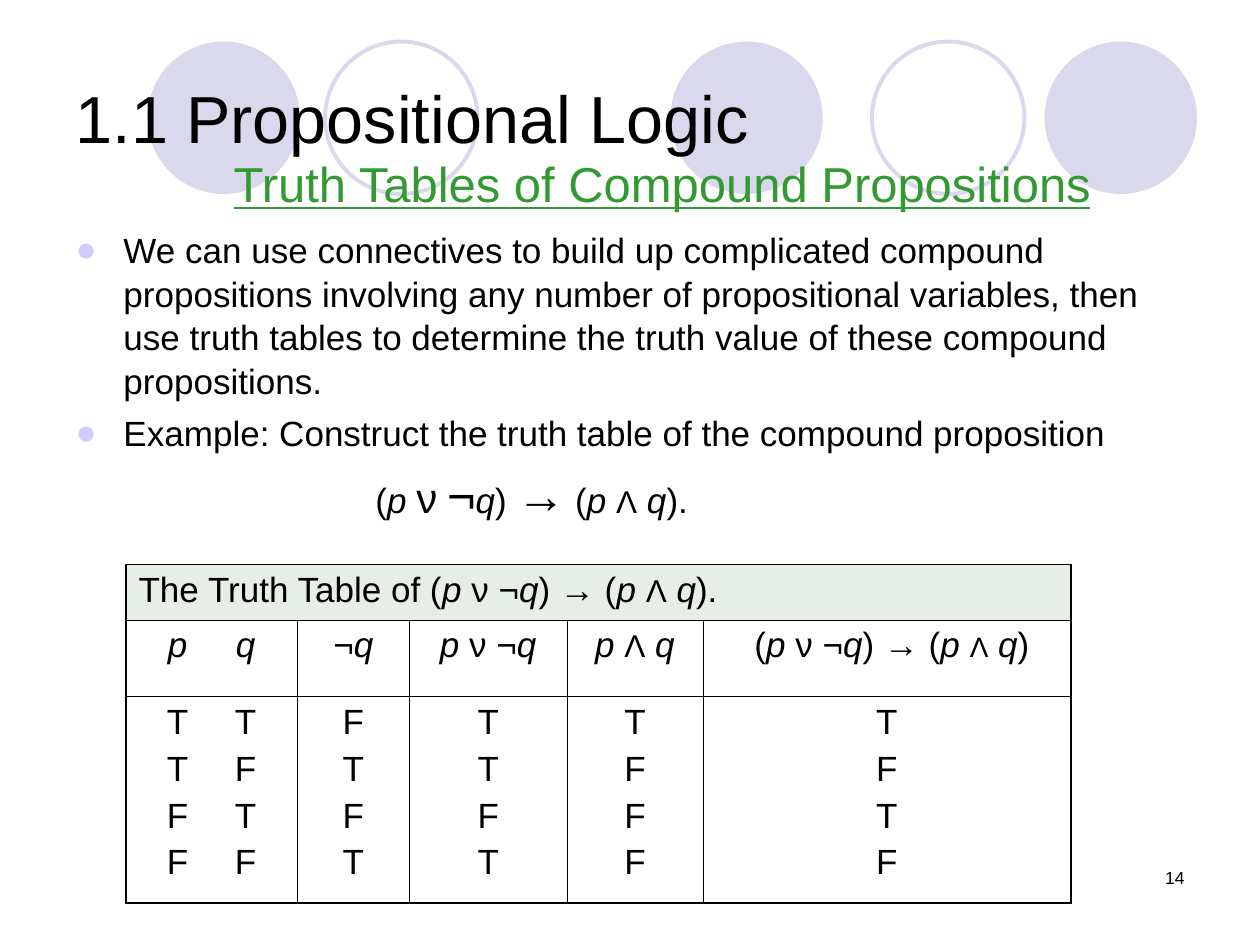
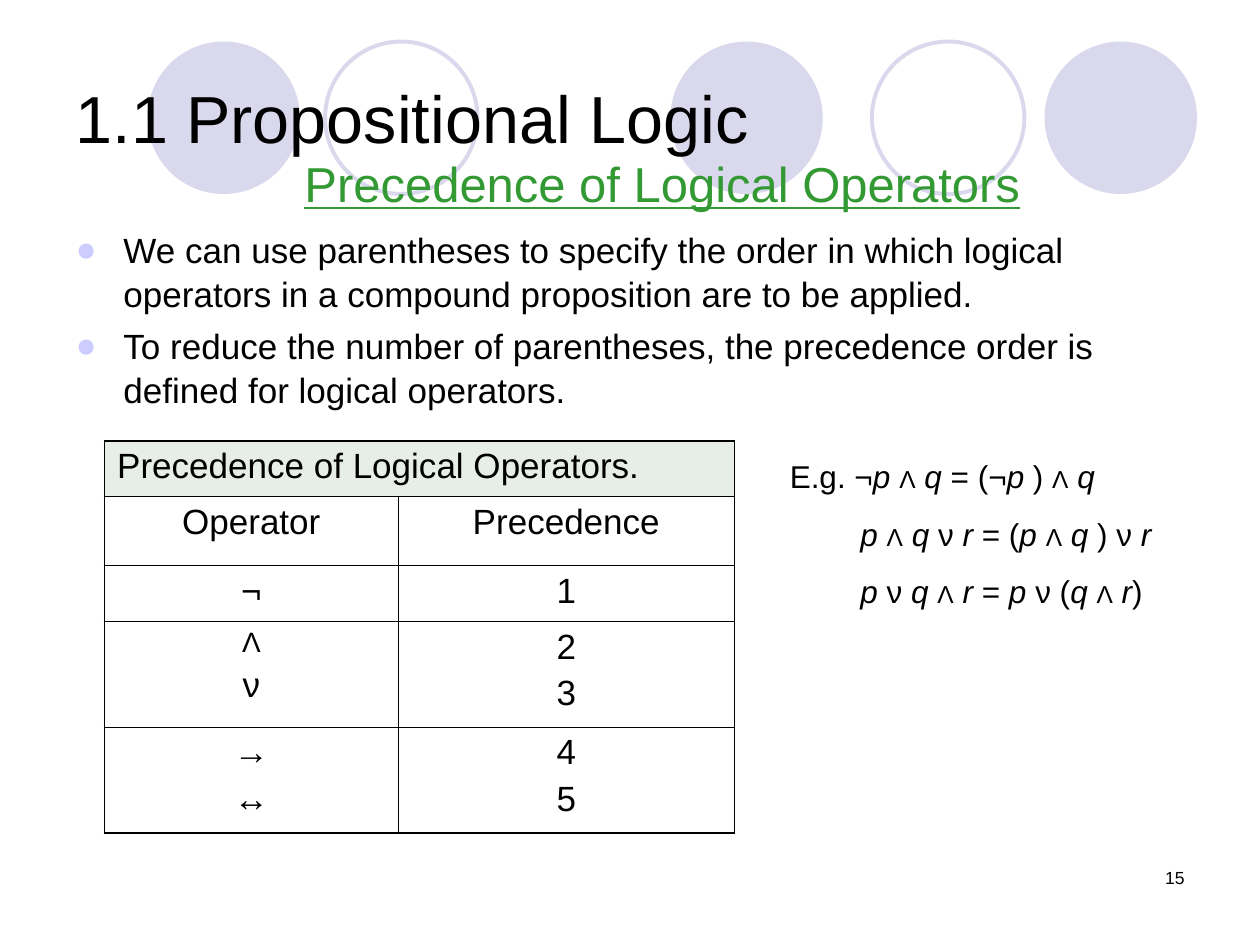
"""Build two lecture slides on truth tables and operator precedence."""
from itertools import groupby

from lxml import etree
from pptx import Presentation
from pptx.dml.color import RGBColor
from pptx.enum.shapes import MSO_SHAPE
from pptx.enum.text import MSO_ANCHOR, MSO_AUTO_SIZE, PP_ALIGN
from pptx.oxml.ns import qn
from pptx.util import Inches, Pt

OVAL = MSO_SHAPE.OVAL
LEFT, CENTER, RIGHT = PP_ALIGN.LEFT, PP_ALIGN.CENTER, PP_ALIGN.RIGHT
TOP, MIDDLE = MSO_ANCHOR.TOP, MSO_ANCHOR.MIDDLE
NO_FIT, GROW = MSO_AUTO_SIZE.NONE, MSO_AUTO_SIZE.SHAPE_TO_FIT_TEXT

COLORS = {"text": "000000", "accent": "339933", "circle": "D9D8EC",
          "bullet": "CCCCFF", "band": "E7EDE7"}
FONT = "Arial"
TITLE = "1.1 Propositional Logic"
CIRCLES = [(5.32, True), (8.29, True), (1.17, True), (6.92, False), (2.58, False)]
PAIR_TABS = (0.31, 0.85)
OUTER, INNER = 1.08, 0.45


def color(name):
    """Return a palette colour."""
    return RGBColor.from_string(COLORS[name])


def sub(parent, tag, **attrs):
    """Append a drawing element to its parent."""
    e = etree.SubElement(parent, qn(tag))
    for key, value in attrs.items():
        e.set(key, str(value))
    return e


def place(sp, left, top, width, height):
    """Move and size a shape."""
    sp.left, sp.top = Inches(left), Inches(top)
    sp.width, sp.height = Inches(width), Inches(height)


class Deck:
    """Hold the style and the current slide."""

    def __init__(self):
        """Open a 10 by 7.5 inch presentation."""
        self.prs = Presentation()
        self.prs.slide_width, self.prs.slide_height = Inches(10), Inches(7.5)
        self.s = None

    def circles(self):
        """Put the row of circles on the slide master."""
        for i, (left, filled) in enumerate(CIRCLES):
            sp = self.s.shapes.add_shape(OVAL, Inches(left), Inches(0.33),
                                         Inches(1.21), Inches(1.21))
            sp.shadow.inherit = False
            if filled:
                sp.fill.solid()
                sp.fill.fore_color.rgb = color("circle")
                sp.line.fill.background()
            else:
                sp.fill.background()
                sp.line.color.rgb = color("circle")
                sp.line.width = Pt(2.25)
            sp.element.nvSpPr.cNvPr.id = 20 + i
            self.prs.slide_master.shapes.element.insert(2 + i, sp.element)

    def slide(self, subtitle, number):
        """Start a slide with its title, subtitle and number."""
        first = self.s is None
        self.s = self.prs.slides.add_slide(self.prs.slide_layouts[1])
        if first:
            self.circles()
        sp = self.s.shapes.title
        place(sp, 0.5, 0.3, 9, 1.25)
        tf = sp.text_frame
        tf.vertical_anchor, tf.auto_size = MIDDLE, NO_FIT
        self.rich_text(tf.paragraphs[0], TITLE, 38)
        p = self.textbox((1.67, 1.17, 7.17, 0.57), [subtitle], 28, align=CENTER)[0]
        for r in p.runs:
            r.font.underline = True
            r.font.color.rgb = color("accent")
        self.textbox((7.17, 6.83, 2.33, 0.5), [str(number)], 10, align=RIGHT)

    def rich_text(self, p, text, size, sizes=None, align=LEFT):
        """Fill a paragraph; stars enclose italics, sizes maps symbols to points."""
        p.alignment = align
        for i, part in enumerate(text.split("*")):
            for points, chars in groupby(part, lambda c: (sizes or {}).get(c, size)):
                r = p.add_run()
                r.text = "".join(chars)
                r.font.name, r.font.size = FONT, Pt(points)
                r.font.italic = i % 2 == 1
                r.font.color.rgb = color("text")

    def lines(self, tf, texts, size, sizes=None, align=LEFT, gap=0):
        """Add one paragraph for each text."""
        for i, text in enumerate(texts):
            p = tf.add_paragraph() if i else tf.paragraphs[0]
            if i:
                p.space_before = Pt(gap)
            self.rich_text(p, text, size, sizes, align)
        return tf.paragraphs

    def textbox(self, box, texts, size, **style):
        """Add a wrapped text box and return its paragraphs."""
        tf = self.s.shapes.add_textbox(*map(Inches, box)).text_frame
        tf.word_wrap, tf.auto_size = True, GROW
        return self.lines(tf, texts, size, **style)

    def body(self, bullets, formula=None, sizes=None):
        """Fill the body placeholder with bullets and an indented formula."""
        sp = self.s.placeholders[1]
        place(sp, 0.5, 1.75, 8.92, 2.75)
        tf = sp.text_frame
        tf.vertical_anchor, tf.auto_size = TOP, NO_FIT
        texts = bullets + ([formula] if formula else [])
        for i, p in enumerate(self.lines(tf, texts, 20, sizes, gap=5)):
            p.line_spacing = 1.04
            if i == 0:
                p.space_before = Pt(0)
            if i < len(bullets):
                self.indent(p, 0.38, -0.38)
                pPr = p._p.get_or_add_pPr()
                sub(sub(pPr, "a:buClr"), "a:srgbClr", val=COLORS["bullet"])
                sub(pPr, "a:buFont", typeface=FONT)
                sub(pPr, "a:buChar", char="●")
            else:
                self.indent(p, 2.38)
                sub(p._p.get_or_add_pPr(), "a:buNone")

    def indent(self, p, left, first=0):
        """Set the left margin and first-line indent."""
        pPr = p._p.get_or_add_pPr()
        pPr.set("marL", str(Inches(left)))
        pPr.set("indent", str(Inches(first)))

    def borders(self, cell, outer_sides):
        """Draw the four borders, heavier on the outer sides."""
        tcPr = cell._tc.get_or_add_tcPr()
        for side, outer in zip("LRTB", outer_sides):
            ln = sub(tcPr, f"a:ln{side}", w=Pt(OUTER if outer else INNER))
            sub(sub(ln, "a:solidFill"), "a:srgbClr", val=COLORS["text"])

    def table(self, left, top, widths, heights, caption, rows, sizes):
        """Add a table with a merged caption row; newlines part paragraphs."""
        n_rows, n_cols = len(heights), len(widths)
        tbl = self.s.shapes.add_table(n_rows, n_cols, Inches(left), Inches(top),
                                      Inches(sum(widths)), Inches(sum(heights))).table
        tbl.first_row = tbl.horz_banding = False
        for col, width in zip(tbl.columns, widths):
            col.width = Inches(width)
        for row, height in zip(tbl.rows, heights):
            row.height = Inches(height)
        tbl.cell(0, 0).merge(tbl.cell(0, n_cols - 1))
        for i, texts in enumerate([[caption]] + rows):
            for j, text in enumerate(texts):
                cell = tbl.cell(i, j)
                last = j + max(cell.span_width, 1) == n_cols
                self.borders(cell, (j == 0, last, i == 0, i == n_rows - 1))
                if i:
                    cell.fill.background()
                else:
                    cell.fill.solid()
                    cell.fill.fore_color.rgb = color("band")
                align = LEFT if i == 0 or "\t" in text else CENTER
                for p in self.lines(cell.text_frame, text.split("\n"), 20,
                                    sizes, align, 4.4):
                    if "\t" in text:
                        tabs = sub(p._p.get_or_add_pPr(), "a:tabLst")
                        for pos in PAIR_TABS:
                            sub(tabs, "a:tab", pos=Inches(pos), algn="ctr")
        return tbl


def truth_tables(deck):
    """Build the truth table slide."""
    deck.slide("Truth Tables of Compound Propositions", 14)
    formula = "(*p *ν ¬*q*) → (*p *Λ* q*)"
    deck.body(
        ["We can use connectives to build up complicated compound propositions "
         "involving any number of propositional variables, then use truth tables "
         "to determine the truth value of these compound propositions.",
         "Example: Construct the truth table of the compound proposition"],
        formula + ".", {"ν": 24, "¬": 28, "→": 28, "Λ": 18})
    header = ["*\tp\tq*", "¬*q*", "*p *ν ¬*q*", "*p *Λ* q*", " " + formula]
    pairs = "\n".join(f"\t{p}\t{q}" for p in "TF" for q in "TF")
    values = [pairs] + ["\n".join(v) for v in ("FTFT", "TTFT", "TFFF", "TFTF")]
    tbl = deck.table(1, 4.48, [1.36, 0.89, 1.25, 1.08, 2.92], [0.44, 0.61, 1.64],
                     f"The Truth Table of {formula}.", [header, values], {"Λ": 18})
    for r in tbl.cell(1, 4).text_frame.paragraphs[0].runs:
        if r.text == "Λ":
            r.font.size = Pt(16)


def precedence(deck):
    """Build the operator precedence slide."""
    deck.slide("Precedence of Logical Operators", 15)
    deck.body(
        ["We can use parentheses to specify the order in which logical operators "
         "in a compound proposition are to be applied.",
         "To reduce the number of parentheses, the precedence order is defined "
         "for logical operators."])
    deck.table(0.83, 3.5, [2.33, 2.67], [0.44, 0.55, 0.44, 0.84, 0.84],
               "Precedence of Logical Operators.",
               [["Operator", "Precedence"], ["¬", "1"], ["Λ\nν", "2\n3"],
                ["→\n↔", "4\n5"]], {"Λ": 16})
    examples = deck.textbox(
        (6.17, 3.58, 3.67, 1.32),
        ["E.g. ¬*p *Λ* q* = (¬*p* ) Λ *q*",
         "*p *Λ* q *ν *r *= (*p *Λ* q* ) ν *r*",
         "*p *ν *q *Λ* r* = *p *ν (*q *Λ* r*)"],
        18, sizes={"Λ": 14}, gap=11.2)
    for p in examples[1:]:
        deck.indent(p, 0.56)


def main():
    """Build and save the slides."""
    deck = Deck()
    truth_tables(deck)
    precedence(deck)
    deck.prs.save("out.pptx")


if __name__ == "__main__":
    main()
